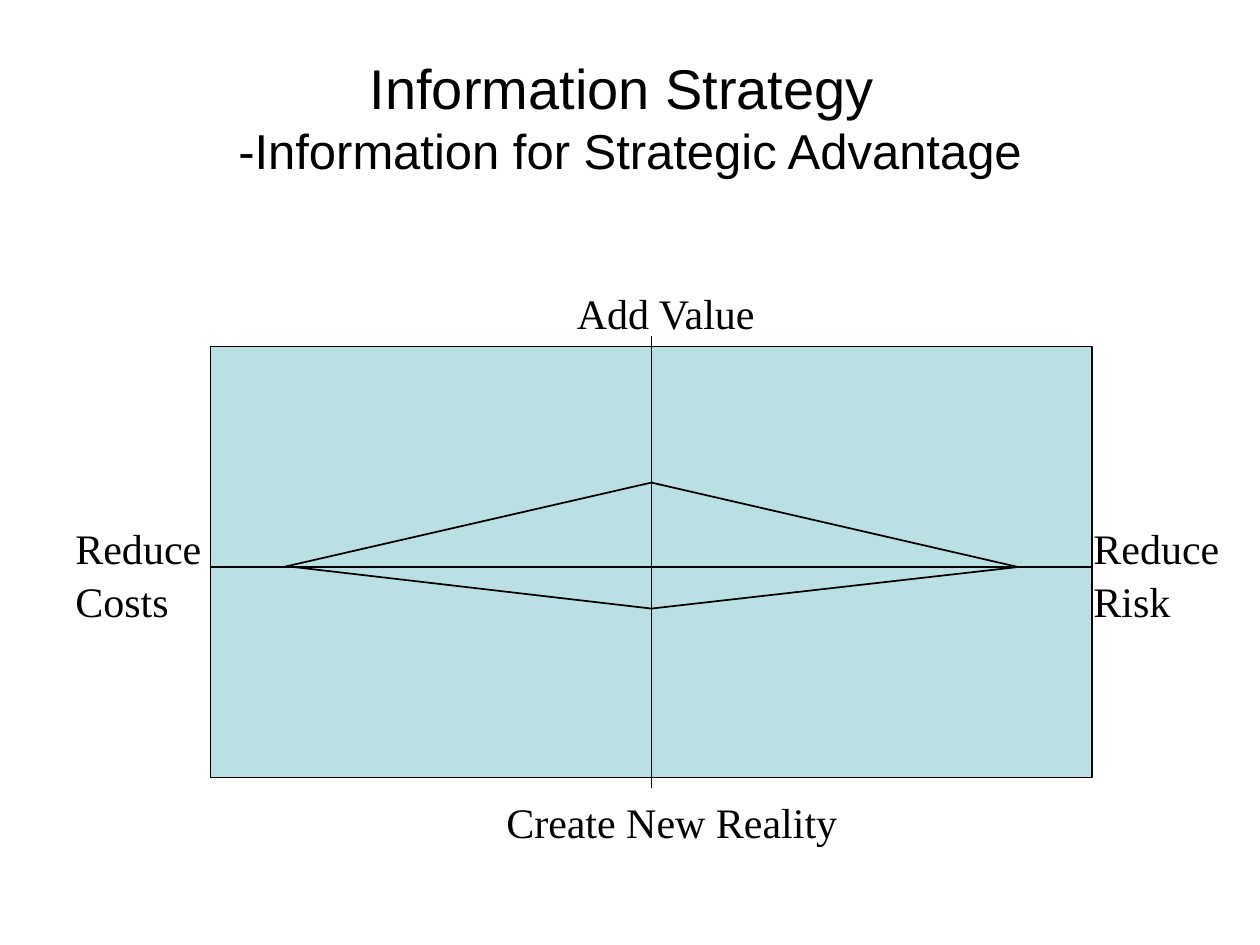
import pptx
import pptx.util
import pptx.dml.color
import pptx.enum.shapes
import pptx.enum.text
from lxml import etree
from pptx.oxml.ns import qn
from pptx.util import Inches, Pt

# Content
TITLE_LINES = [("Information Strategy ", 32), ("-Information for Strategic Advantage", 28)]
LABELS = [  # paragraphs, (left, top, width, height)
    (["Add Value"], (4.48, 2.21, 1.65, 0.5)),
    (["Create New Reality"], (3.92, 6.25, 2.83, 0.5)),
    (["Reduce", "Risk"], (8.58, 4.08, 1.2, 0.9)),
    (["Reduce", "Costs"], (0.5, 4.08, 1.28, 0.9)),
]

# Geometry of the strategy map
FIELD = (1.67, 2.75, 7, 3.42)
LEFT, RIGHT = FIELD[0], FIELD[0] + FIELD[2]
MID_X, MID_Y = 5.17, 4.5
PEAK, BASE = (MID_X, 3.83), (MID_X, 4.83)
EAST = (8.08, MID_Y)
AXES = [((MID_X, 2.67), (MID_X, 6.25)), ((LEFT, MID_Y), (RIGHT, MID_Y))]
DIAMOND = [((2.25, MID_Y), PEAK), (PEAK, EAST), (BASE, EAST), (BASE, (2.33, MID_Y))]


def color(hex_value):
    return pptx.dml.color.RGBColor.from_string(hex_value)


def inches(values):
    return [Inches(value) for value in values]


def format_font(font, name, size):
    for key, value in {"name": name, "size": Pt(size), "bold": False}.items():
        setattr(font, key, value)
    font.color.rgb = color("000000")


def format_line(line):
    line.color.rgb = color("000000")
    line.width = Pt(1)


def add_lines(shapes, segments):
    for start, end in segments:
        segment = shapes.add_connector(
            pptx.enum.shapes.MSO_CONNECTOR.STRAIGHT, *inches(start + end))
        format_line(segment.line)
        etree.SubElement(segment._element.spPr, qn("a:effectLst"))


def add_label(shapes, paragraphs, box):
    frame = shapes.add_textbox(*inches(box)).text_frame
    frame.word_wrap = False
    frame.auto_size = pptx.enum.text.MSO_AUTO_SIZE.SHAPE_TO_FIT_TEXT
    frame.text = "\n".join(paragraphs)
    for paragraph in frame.paragraphs:
        paragraph.line_spacing = 1.05
        format_font(paragraph.runs[0].font, "Times New Roman", 24)


def fill_title(title):
    box = dict(zip(("left", "top", "width", "height"), inches((0.5, 0.3, 9, 1.25))))
    for key, value in box.items():
        setattr(title, key, value)
    frame = title.text_frame
    frame.vertical_anchor = pptx.enum.text.MSO_ANCHOR.MIDDLE
    heading = frame.paragraphs[0]
    heading.alignment = pptx.enum.text.PP_ALIGN.CENTER
    for index, (text, size) in enumerate(TITLE_LINES):
        if index:
            heading.add_line_break()
            line_break = heading._p.find(qn("a:br"))
            etree.SubElement(line_break, qn("a:rPr"), sz=str(size * 100))
        run = heading.add_run()
        run.text = text
        format_font(run.font, "Arial", size)


def main():
    deck = pptx.Presentation()
    deck.slide_width, deck.slide_height = inches((10, 7.5))
    slide = deck.slides.add_slide(deck.slide_layouts[5])
    shapes = slide.shapes
    fill_title(shapes.title)

    # Field and axes
    field = shapes.add_shape(pptx.enum.shapes.MSO_SHAPE.RECTANGLE, *inches(FIELD))
    field.shadow.inherit = False
    field.fill.solid()
    field.fill.fore_color.rgb = color("BBE0E3")
    format_line(field.line)
    add_lines(shapes, AXES)

    # Labels and diamond
    for paragraphs, box in LABELS:
        add_label(shapes, paragraphs, box)
    add_lines(shapes, DIAMOND)

    deck.save("out.pptx")


if __name__ == "__main__":
    main()
